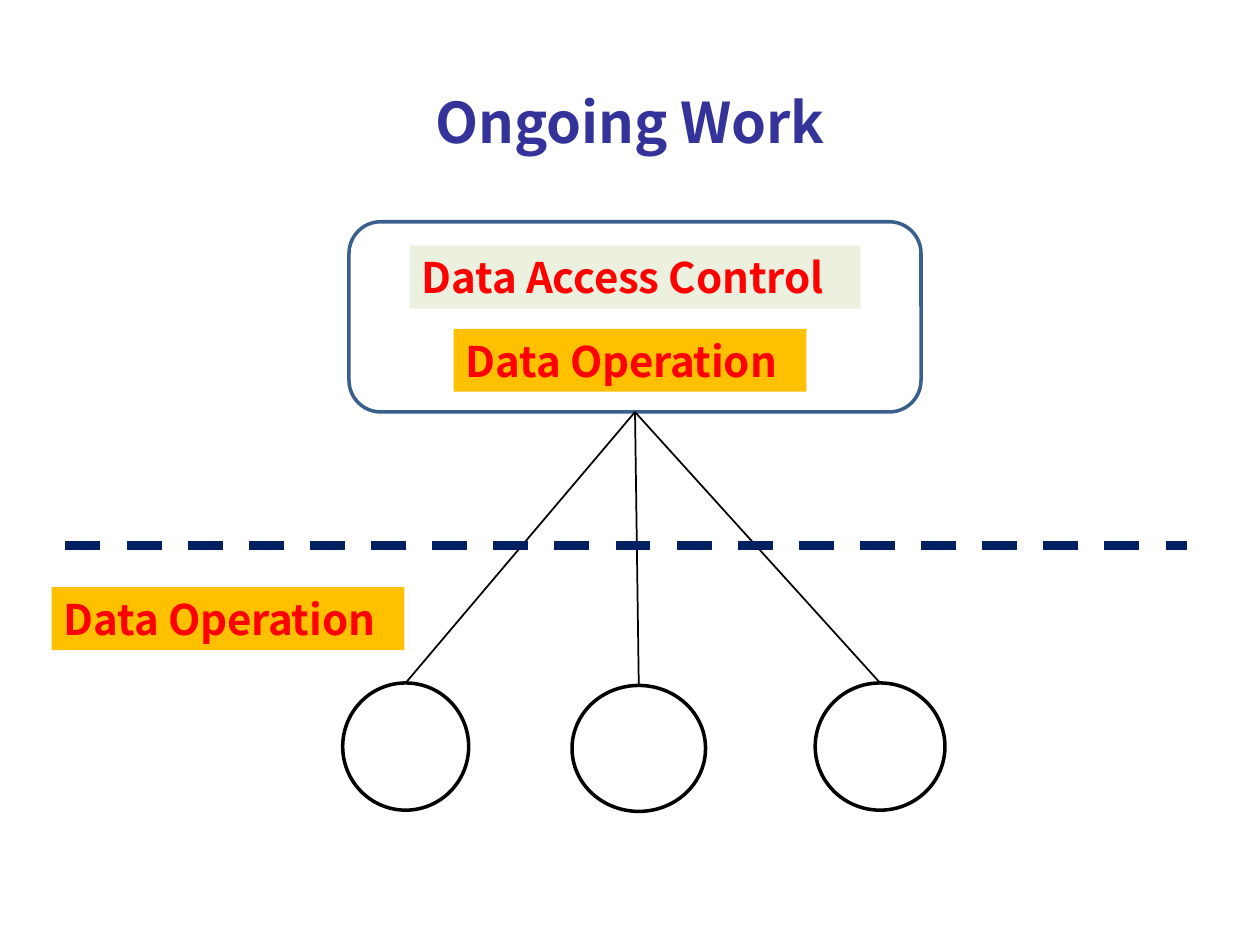
from pptx import Presentation
from pptx.dml.color import RGBColor
from pptx.enum.dml import MSO_LINE
from pptx.enum.shapes import MSO_CONNECTOR, MSO_SHAPE
from pptx.enum.text import MSO_ANCHOR, PP_ALIGN
from pptx.oxml.ns import qn
from pptx.util import Inches, Pt
from lxml.etree import SubElement

FONT = "Noto Sans CJK SC"


def rgb(color):
    """Turn a hex string into a colour."""
    return RGBColor.from_string(color)


def write(frame, text, size, color, align):
    """Write one bold, slightly tightened line into a text frame."""
    frame.word_wrap = True
    paragraph = frame.paragraphs[0]
    paragraph.alignment = align
    run = paragraph.add_run()
    run.text = text
    run._r.get_or_add_rPr().set("spc", "-10")
    font = paragraph.font
    font.name, font.size, font.bold = FONT, Pt(size), True
    font.color.rgb = rgb(color)


def add_title(slide, text):
    """Add the centred slide title."""
    title = slide.shapes.add_textbox(0, Inches(0.09), Inches(10), Inches(1.21))
    frame = title.text_frame
    frame.margin_left = frame.margin_right = frame.margin_bottom = 0
    frame.margin_top = Inches(0.67)
    write(frame, text, 32, "333399", PP_ALIGN.CENTER)


def add_outline(slide, preset, left, top, width, height, color):
    """Add an unfilled shape with a 2 pt outline."""
    outline = slide.shapes.add_shape(
        preset, Inches(left), Inches(top), Inches(width), Inches(height))
    outline.shadow.inherit = False
    outline.fill.background()
    outline.line.color.rgb = rgb(color)
    outline.line.width = Pt(2)
    return outline


def add_label(slide, text, left, top, width, fill):
    """Add a filled label with red text."""
    label = slide.shapes.add_shape(
        MSO_SHAPE.RECTANGLE, Inches(left), Inches(top), Inches(width), Inches(0.5))
    label.shadow.inherit = False
    label.fill.solid()
    label.fill.fore_color.rgb = rgb(fill)
    label.line.fill.background()
    frame = label.text_frame
    frame.margin_top = frame.margin_bottom = 0
    frame.vertical_anchor = MSO_ANCHOR.MIDDLE
    write(frame, text, 24, "FF0000", PP_ALIGN.LEFT)


def add_line(slide, start, end, color, width):
    """Add a straight line without a shadow."""
    line = slide.shapes.add_connector(
        MSO_CONNECTOR.STRAIGHT, *map(Inches, start + end))
    line.line.color.rgb = rgb(color)
    line.line.width = Pt(width)
    SubElement(line._element.spPr, qn("a:effectLst"))
    return line


def main():
    """Build the slide and save it."""
    deck = Presentation()
    deck.slide_width, deck.slide_height = Inches(10), Inches(7.5)
    slide = deck.slides.add_slide(deck.slide_layouts[6])

    add_title(slide, "Ongoing Work")
    server = add_outline(
        slide, MSO_SHAPE.ROUNDED_RECTANGLE, 2.77, 1.76, 4.54, 1.51, "3A5F8C")

    nodes = [(2.72, 5.42, 1, 1.01), (4.54, 5.44, 1.06, 1), (6.47, 5.42, 1.03, 1.01)]
    for left, top, width, height in nodes:
        node = add_outline(
            slide, MSO_SHAPE.OVAL, left, top, width, height, "000000")
        link = add_line(
            slide, (5.04, 3.27), (left + width / 2, top), "000000", 1)
        link.begin_connect(server, 2)
        link.end_connect(node, 0)

    boundary = add_line(slide, (0.52, 4.33), (9.42, 4.33), "002060", 5)
    boundary.line.dash_style = MSO_LINE.DASH

    for left, top in [(0.41, 4.66), (3.6, 2.61)]:
        add_label(slide, "Data Operation", left, top, 2.8, "FFC000")
    add_label(slide, "Data Access Control", 3.25, 1.95, 3.58, "EBF1DE")

    deck.save("out.pptx")


if __name__ == "__main__":
    main()
